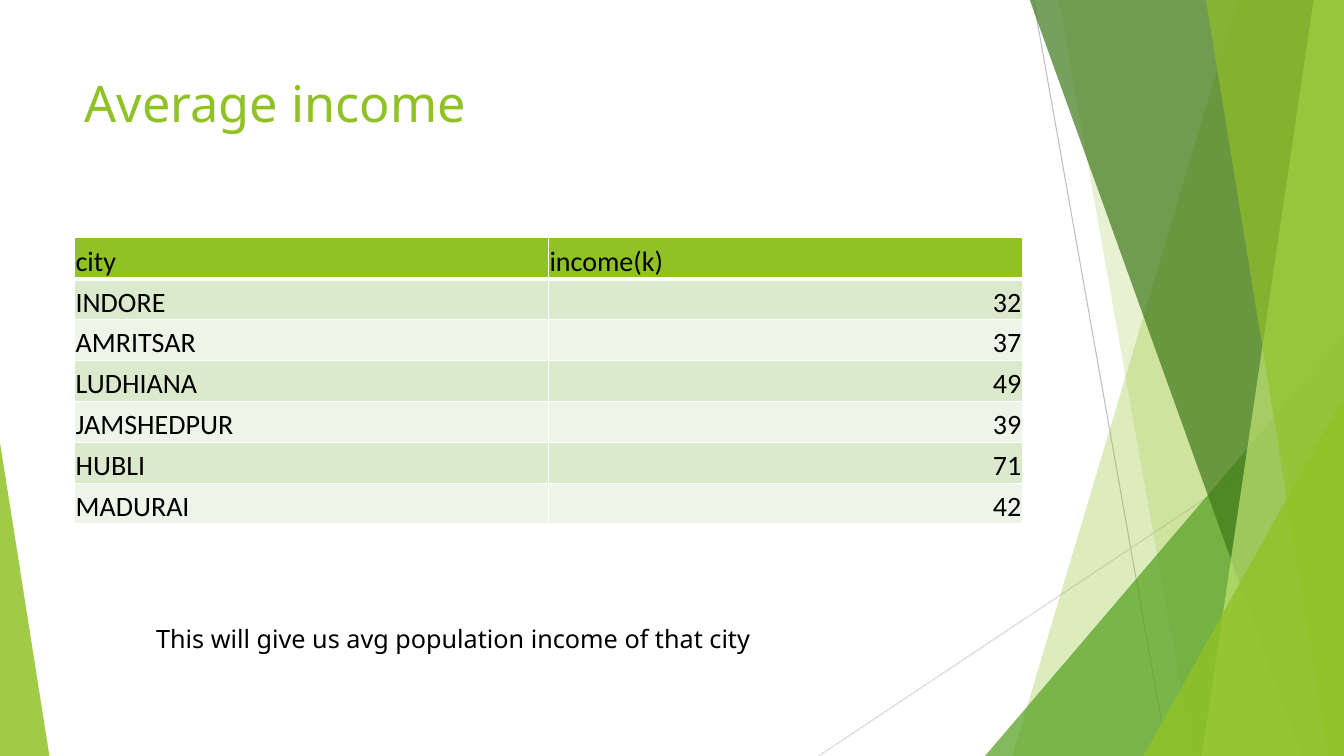
from pptx import Presentation
from pptx.util import Inches, Pt
from pptx.dml.color import RGBColor
from pptx.enum.shapes import MSO_CONNECTOR, MSO_SHAPE
from pptx.enum.text import MSO_ANCHOR, PP_ALIGN
from pptx.oxml.ns import qn
from lxml.etree import SubElement

COLORS = {
    "lime": "90C226", "green": "54A021", "forest": "3F7819", "pale": "C0E474",
    "gray": "BFBFBF", "silver": "D9D9D9", "band": "DBE9CD", "light": "EEF4E8",
    "white": "FFFFFF", "black": "000000",
}


class Painter:
    """Draws styled elements on the current slide."""

    body = "Noto Sans"
    grid = "Calibri"

    def __init__(self, slide):
        self.slide = slide
        self.shapes = slide.shapes

    def color(self, name):
        return RGBColor.from_string(COLORS[name])

    def font(self, para, face, size, color):
        para.font.name = face
        para.font.size = Pt(size)
        para.font.color.rgb = self.color(color)

    def fill(self, shape, color, alpha):
        shape.shadow.inherit = False
        shape.line.fill.background()
        shape.fill.solid()
        shape.fill.fore_color.rgb = self.color(color)
        tint = shape.fill._xPr.find(qn("a:solidFill"))[0]
        SubElement(tint, qn("a:alpha"), val=str(alpha * 1000))

    def line(self, start, end, color):
        ends = [Inches(v) for v in (*start, *end)]
        link = self.shapes.add_connector(MSO_CONNECTOR.STRAIGHT, *ends)
        link.line.color.rgb = self.color(color)
        link.line.width = Pt(0.75)
        SubElement(link._element.spPr, qn("a:effectLst"))

    def shard(self, points, color, alpha):
        spots = [(Inches(x), Inches(y)) for x, y in points]
        maker = self.shapes.build_freeform(*spots[0])
        maker.add_line_segments(spots[1:], close=True)
        self.fill(maker.convert_to_shape(), color, alpha)

    def wedge(self, box, tip, color, alpha):
        shape = self.shapes.add_shape(
            MSO_SHAPE.ISOSCELES_TRIANGLE, *[Inches(v) for v in box])
        shape.adjustments[0] = tip
        self.fill(shape, color, alpha)

    def text(self, box, words, size, color):
        frame = self.shapes.add_textbox(*[Inches(v) for v in box]).text_frame
        frame.word_wrap = True
        para = frame.paragraphs[0]
        para.text = words
        self.font(para, self.body, size, color)

    def border(self, cell, base):
        props = cell._tc.get_or_add_tcPr()
        for side in "LRTB":
            width = base if side == "B" else 1
            edge = SubElement(props, qn(f"a:ln{side}"), w=str(Pt(width)))
            paint = SubElement(edge, qn("a:solidFill"))
            SubElement(paint, qn("a:srgbClr"), val=COLORS["white"])

    def cell(self, cell, value, fill, base):
        self.border(cell, base)
        cell.fill.solid()
        cell.fill.fore_color.rgb = self.color(fill)
        cell.vertical_anchor = MSO_ANCHOR.BOTTOM
        cell.margin_left = cell.margin_right = cell.margin_top = Inches(0.01)
        cell.margin_bottom = 0
        para = cell.text_frame.paragraphs[0]
        para.text = str(value)
        if isinstance(value, int):
            para.alignment = PP_ALIGN.RIGHT
        self.font(para, self.grid, 20, "black")

    def table(self, box, rows):
        frame = self.shapes.add_table(
            len(rows), len(rows[0]), *[Inches(v) for v in box])
        for r, row in enumerate(rows):
            fill = "lime" if r == 0 else ("light", "band")[r % 2]
            for c, value in enumerate(row):
                self.cell(frame.table.cell(r, c), value, fill, 1 if r else 3)


def main():
    deck = Presentation()
    deck.slide_width, deck.slide_height = Inches(13.33), Inches(7.5)
    art = Painter(deck.slides.add_slide(deck.slide_layouts[6]))
    right, top, floor = 13.33, -0.01, 7.5

    art.line((10.25, 0), (11.58, floor), "gray")
    art.line((right, 4.03), (8.12, floor), "silver")

    def shard(head, foot, color, alpha):
        art.shard([(head, top), (right, top), (right, floor), (foot, floor)],
                  color, alpha)

    shard(12.28, 10.04, "lime", 30)
    shard(10.5, 11.83, "lime", 20)
    art.wedge((9.77, 3.33, 3.56, 4.17), 1, "green", 72)
    shard(10.21, 12.91, "forest", 70)
    shard(13.03, 11.92, "pale", 70)
    shard(11.96, 13.18, "lime", 65)
    art.wedge((11.34, 3.93, 1.99, 3.57), 1, "lime", 80)
    art.wedge((0, 4.39, 0.49, 3.11), 0, "lime", 85)

    art.text((0.74, 0.67, 9.4, 1.44), "Average income", 36, "lime")
    art.table((0.74, 2.36, 9.4, 2.84), [
        ("city", "income(k)"),
        ("INDORE", 32),
        ("AMRITSAR", 37),
        ("LUDHIANA", 49),
        ("JAMSHEDPUR", 39),
        ("HUBLI", 71),
        ("MADURAI", 42),
    ])
    art.text((1.45, 6.13, 6.67, 0.4),
             "This will give us avg population income of that city", 18, "black")
    deck.save("out.pptx")


if __name__ == "__main__":
    main()
